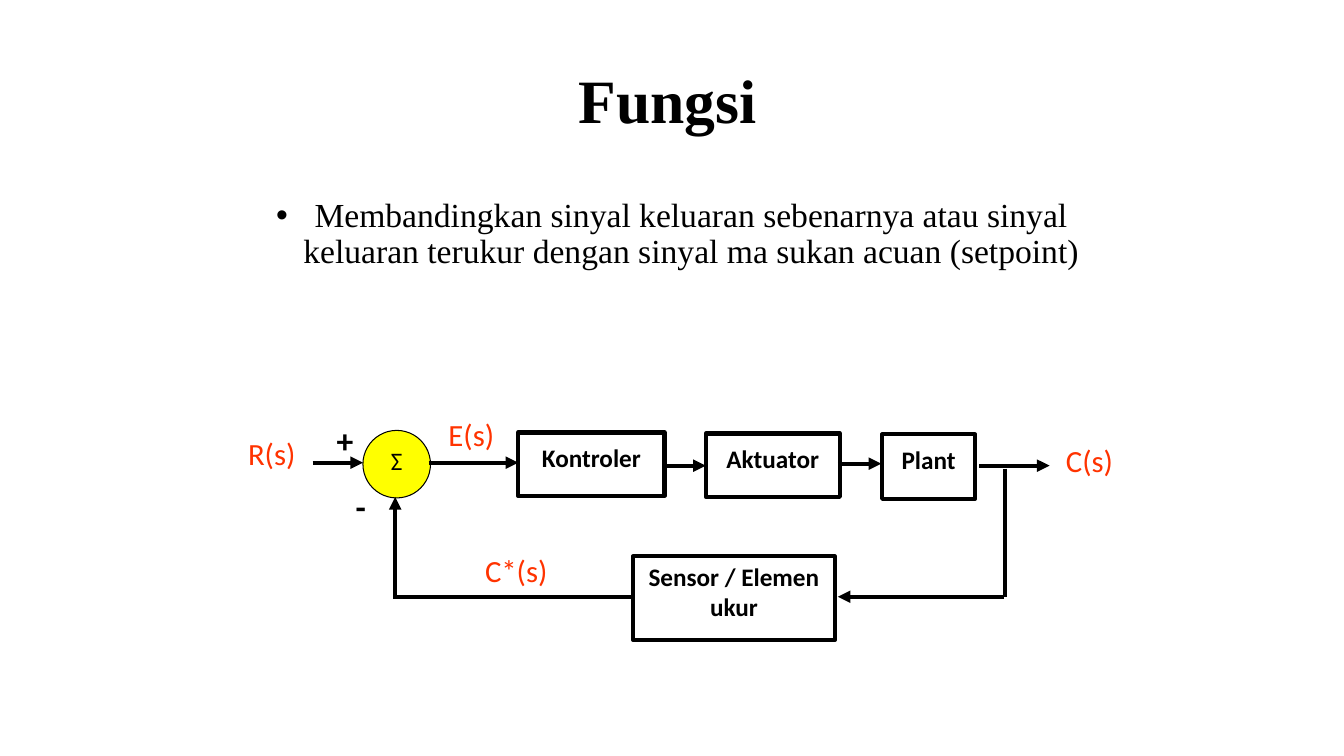
import pptx
import pptx.util
import pptx.dml.color
import pptx.enum.shapes
import pptx.enum.text
import pptx.oxml.ns
import lxml.etree
from dataclasses import dataclass

Inches = pptx.util.Inches
Pt = pptx.util.Pt
ALIGN = pptx.enum.text.PP_ALIGN
ANCHOR = pptx.enum.text.MSO_ANCHOR
SHAPE = pptx.enum.shapes.MSO_SHAPE


@dataclass(frozen=True)
class Theme:
    ink: str = "000000"
    signal: str = "FF3300"
    junction: str = "FFFF00"
    serif: str = "Times New Roman"
    sans: str = "Calibri"
    title_size: int = 44
    body_size: int = 24
    sign_size: int = 24
    signal_size: int = 22
    block_size: int = 18
    stroke: float = 3
    outline: float = 0.75


THEME = Theme()

TITLE = ("Fungsi", (2.25, 0.58, 8.75, 0.83))
BODY = ("Membandingkan sinyal keluaran sebenarnya atau sinyal keluaran terukur "
        "dengan sinyal ma sukan acuan (setpoint)", (2.33, 1.92, 8.67, 1.67))
BLOCKS = [
    ("Kontroler", (5.14, 4.29, 1.45, 0.63), 0.1),
    ("Aktuator", (7, 4.3, 1.33, 0.63), 0.1),
    ("Plant", (8.75, 4.31, 0.92, 0.64), 0.1),
    ("Sensor / Elemen ukur", (6.28, 5.52, 2, 0.83), 0.05),
]
JUNCTION = ("Σ", (3.6, 4.27, 0.67, 0.67))
SIGNALS = [
    ("R(s)", (2.25, 4.26, 0.89, 0.67)),
    ("E(s)", (4.26, 4.08, 0.83, 0.5)),
    ("C(s)", (10.36, 4.33, 0.89, 0.5)),
    ("C*(s)", (4.58, 5.42, 1.08, 0.5)),
]
SIGNS = [
    ("+", (3.24, 4.12, 0.42, 0.42)),
    ("-", (3.43, 4.77, 0.43, 0.43)),
]
ARROWS = [
    ((3.1, 4.59), (3.6, 4.59)),
    ((4.25, 4.59), (5.14, 4.59)),
    ((6.57, 4.62), (7, 4.62)),
    ((8.31, 4.6), (8.74, 4.6)),
    ((9.71, 4.62), (10.41, 4.62)),
    ((9.96, 5.92), (8.31, 5.92)),
    ((3.92, 5.94), (3.92, 4.93)),
]
PLAIN_LINES = [
    ((9.97, 4.65), (9.97, 5.92)),
    ((6.27, 5.92), (3.92, 5.92)),
]


def rgb(value):
    return pptx.dml.color.RGBColor.from_string(value)


def write(holder, text, size, font, color=THEME.ink, bold=False, align=ALIGN.CENTER):
    frame = holder.text_frame
    frame.word_wrap = True
    frame.vertical_anchor = ANCHOR.TOP
    paragraph = frame.paragraphs[0]
    paragraph.text = text
    paragraph.alignment = align
    paragraph.font.size = Pt(size)
    paragraph.font.name = font
    paragraph.font.bold = bold
    paragraph.font.color.rgb = rgb(color)
    return paragraph


def add_label(slide, text, box, *style, **options):
    label = slide.shapes.add_textbox(*map(Inches, box))
    write(label, text, *style, **options)
    return label


def add_node(slide, kind, box, width, fill=None):
    node = slide.shapes.add_shape(kind, *map(Inches, box))
    node.shadow.inherit = False
    if fill:
        node.fill.solid()
        node.fill.fore_color.rgb = rgb(fill)
    else:
        node.fill.background()
    node.line.color.rgb = rgb(THEME.ink)
    node.line.width = Pt(width)
    return node


def add_line(slide, start, end, arrow):
    line = slide.shapes.add_connector(
        pptx.enum.shapes.MSO_CONNECTOR.STRAIGHT, *map(Inches, start + end))
    line.line.color.rgb = rgb(THEME.ink)
    line.line.width = Pt(THEME.stroke)
    qn = pptx.oxml.ns.qn
    if arrow:
        lxml.etree.SubElement(line.line._get_or_add_ln(), qn("a:tailEnd"), type="triangle")
    lxml.etree.SubElement(line._element.spPr, qn("a:effectLst"))


def add_heading(slide):
    title = add_label(slide, *TITLE, THEME.title_size, THEME.serif, bold=True)
    title.text_frame.vertical_anchor = ANCHOR.BOTTOM
    title.text_frame.paragraphs[0].line_spacing = 0.9

    body = add_label(slide, *BODY, THEME.body_size, THEME.serif)
    paragraph = body.text_frame.paragraphs[0]
    paragraph.line_spacing = 0.9
    paragraph.space_before = Pt(10)
    properties = paragraph._p.get_or_add_pPr()
    properties.set("marL", str(Inches(0.38)))
    properties.set("indent", str(Inches(-0.38)))
    qn = pptx.oxml.ns.qn
    bullet_font = lxml.etree.Element(qn("a:buFont"), typeface="Arial")
    bullet = lxml.etree.Element(qn("a:buChar"), char="•")
    defaults = properties.find(qn("a:defRPr"))
    defaults.addprevious(bullet_font)
    defaults.addprevious(bullet)


def add_diagram(slide):
    for text, box, inset in BLOCKS:
        block = add_node(slide, SHAPE.RECTANGLE, box, THEME.stroke)
        write(block, text, THEME.block_size, THEME.sans, bold=True)
        block.text_frame.margin_top = Inches(inset)

    text, box = JUNCTION
    junction = add_node(slide, SHAPE.OVAL, box, THEME.outline, THEME.junction)
    write(junction, text, THEME.block_size, THEME.sans)

    for start, end in PLAIN_LINES:
        add_line(slide, start, end, arrow=False)
    for start, end in ARROWS:
        add_line(slide, start, end, arrow=True)

    for text, box in SIGNALS:
        add_label(slide, text, box, THEME.signal_size, THEME.sans, THEME.signal)
    for text, box in SIGNS:
        add_label(slide, text, box, THEME.sign_size, THEME.sans, bold=True, align=ALIGN.LEFT)


def main():
    deck = pptx.Presentation()
    deck.slide_width = Inches(13.33)
    deck.slide_height = Inches(7.5)
    slide = deck.slides.add_slide(deck.slide_layouts[6])
    add_heading(slide)
    add_diagram(slide)
    deck.save("out.pptx")


if __name__ == "__main__":
    main()
